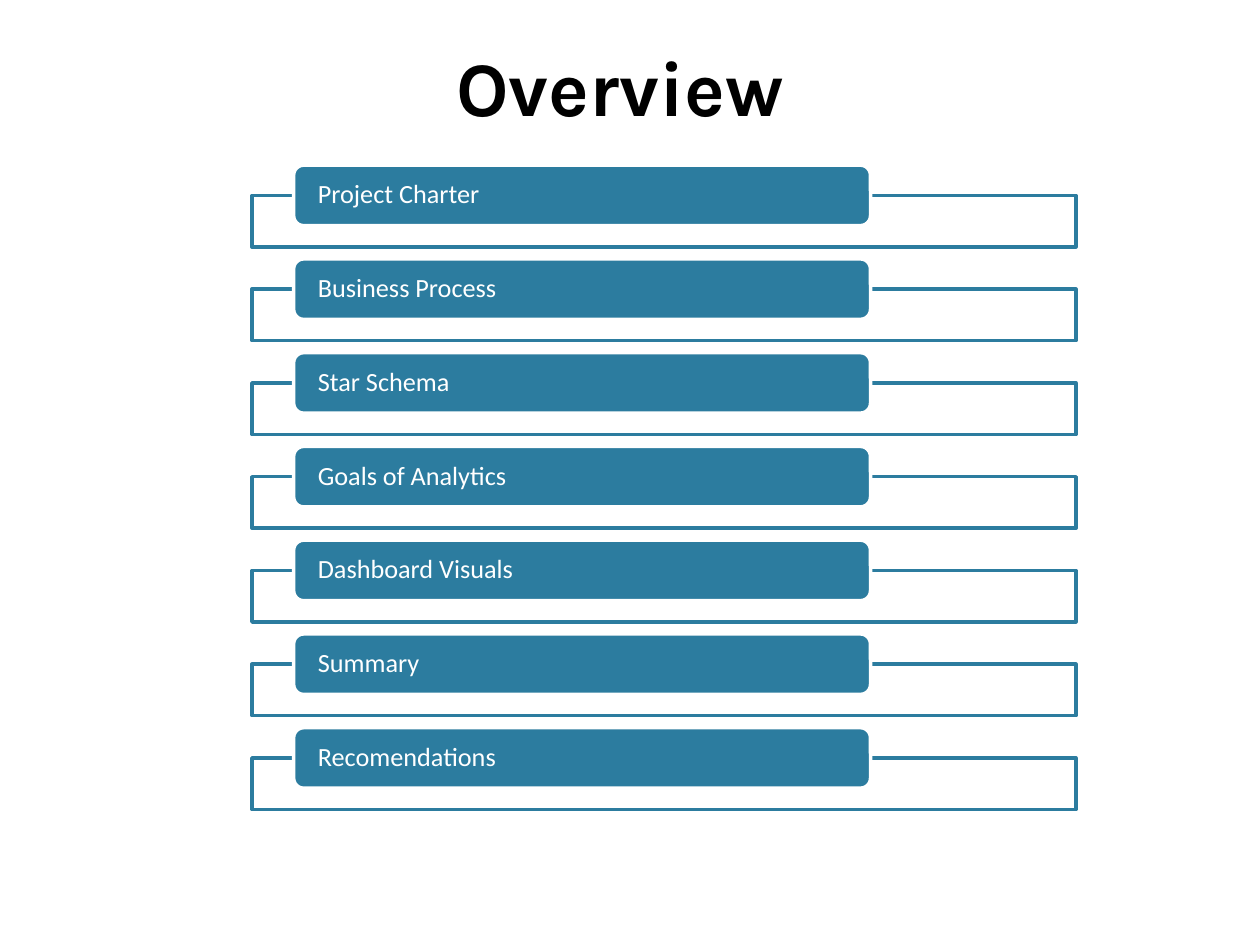
from pptx import Presentation
from pptx import util as u
from pptx.dml.color import RGBColor
from pptx.enum import shapes, text

TEAL, WHITE, BLACK = "2C7C9F", "FFFFFF", "000000"
TOPICS = [
    "Project Charter",
    "Business Process",
    "Star Schema",
    "Goals of Analytics",
    "Dashboard Visuals",
    "Summary",
    "Recomendations",
]
FIRST_TOP, PITCH = 3.33, 1.89
BAR_HEIGHT = 1.22


def color(value):
    return RGBColor.from_string(value)


def write(shape, words, *, font, size, ink, bold=False, align=text.PP_ALIGN.LEFT,
          side_inset=0.25, line_spacing=1.0):
    frame = shape.text_frame
    frame.word_wrap = True
    frame.auto_size = text.MSO_AUTO_SIZE.NONE
    frame.vertical_anchor = text.MSO_ANCHOR.MIDDLE
    frame.margin_left = frame.margin_right = u.Cm(side_inset)
    frame.margin_top = frame.margin_bottom = 0
    para = frame.paragraphs[0]
    para.alignment = align
    para.line_spacing = line_spacing
    span = para.add_run()
    span.text = words
    span.font.name = font
    span.font.size = u.Pt(size)
    span.font.bold = bold
    span.font.color.rgb = color(ink)


def add_box(slide, kind, left, top, width, height, fill, line):
    box = slide.shapes.add_shape(kind, u.Cm(left), u.Cm(top), u.Cm(width), u.Cm(height))
    box.shadow.inherit = False
    box.fill.solid()
    box.fill.fore_color.rgb = color(fill)
    box.line.color.rgb = color(line)
    box.line.width = u.Pt(2)
    return box


def add_title(slide, words):
    title = slide.shapes.title
    title.left, title.top = u.Cm(1.09), u.Cm(0.64)
    title.width, title.height = u.Cm(23.22), u.Cm(2.18)
    write(title, words, font="Karla", size=44, ink=BLACK, bold=True,
          align=text.PP_ALIGN.CENTER)


def add_topic(slide, words, top):
    """Draw a topic bar over an outlined frame that starts at half its height."""
    add_box(slide, shapes.MSO_SHAPE.RECTANGLE, 5.08, top + BAR_HEIGHT / 2,
            16.61, 1.04, WHITE, TEAL)
    bar = add_box(slide, shapes.MSO_SHAPE.ROUNDED_RECTANGLE, 5.92, top,
                  11.63, BAR_HEIGHT, TEAL, WHITE)
    write(bar, words, font="Calibri", size=15, ink=WHITE, side_inset=0.43,
          line_spacing=0.9)


def main():
    deck = Presentation()
    deck.slide_width, deck.slide_height = u.Cm(25.4), u.Cm(19.05)
    slide = deck.slides.add_slide(deck.slide_layouts[5])
    add_title(slide, "Overview ")
    for row, topic in enumerate(TOPICS):
        add_topic(slide, topic, FIRST_TOP + row * PITCH)
    deck.save("out.pptx")


if __name__ == "__main__":
    main()
